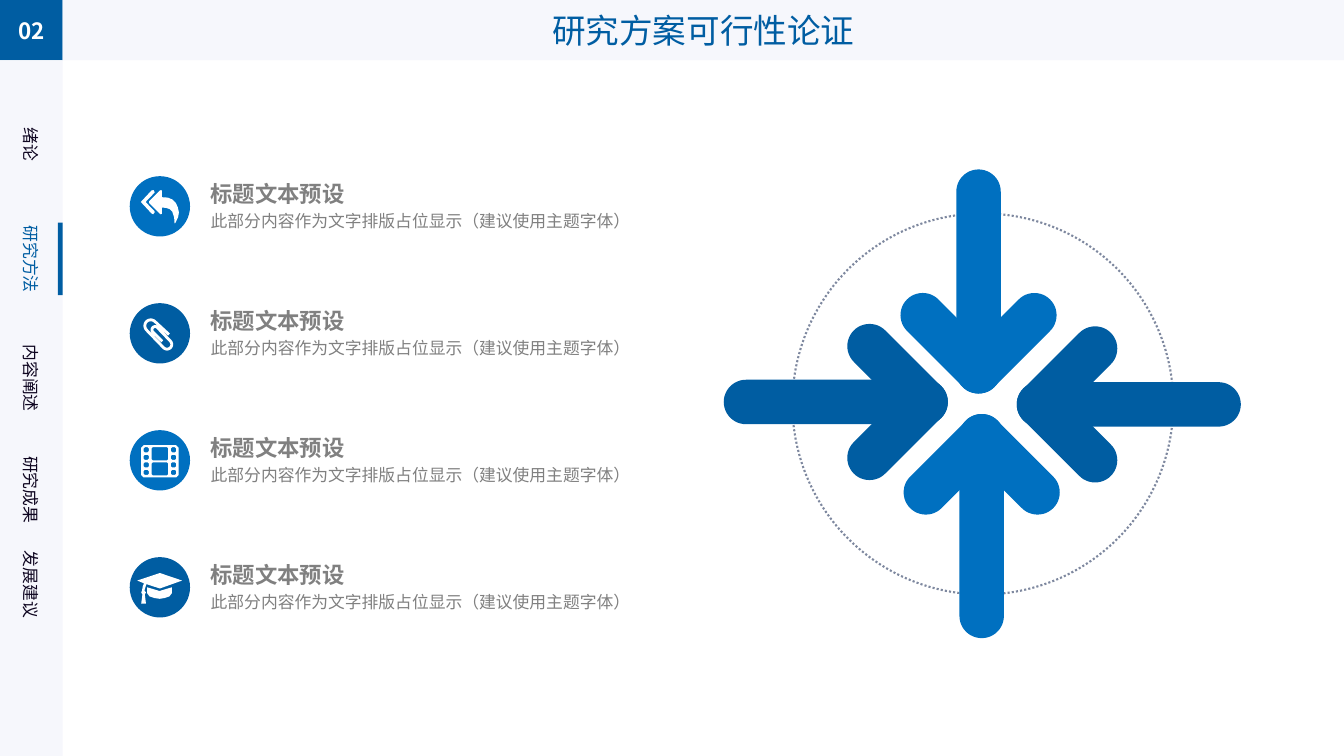
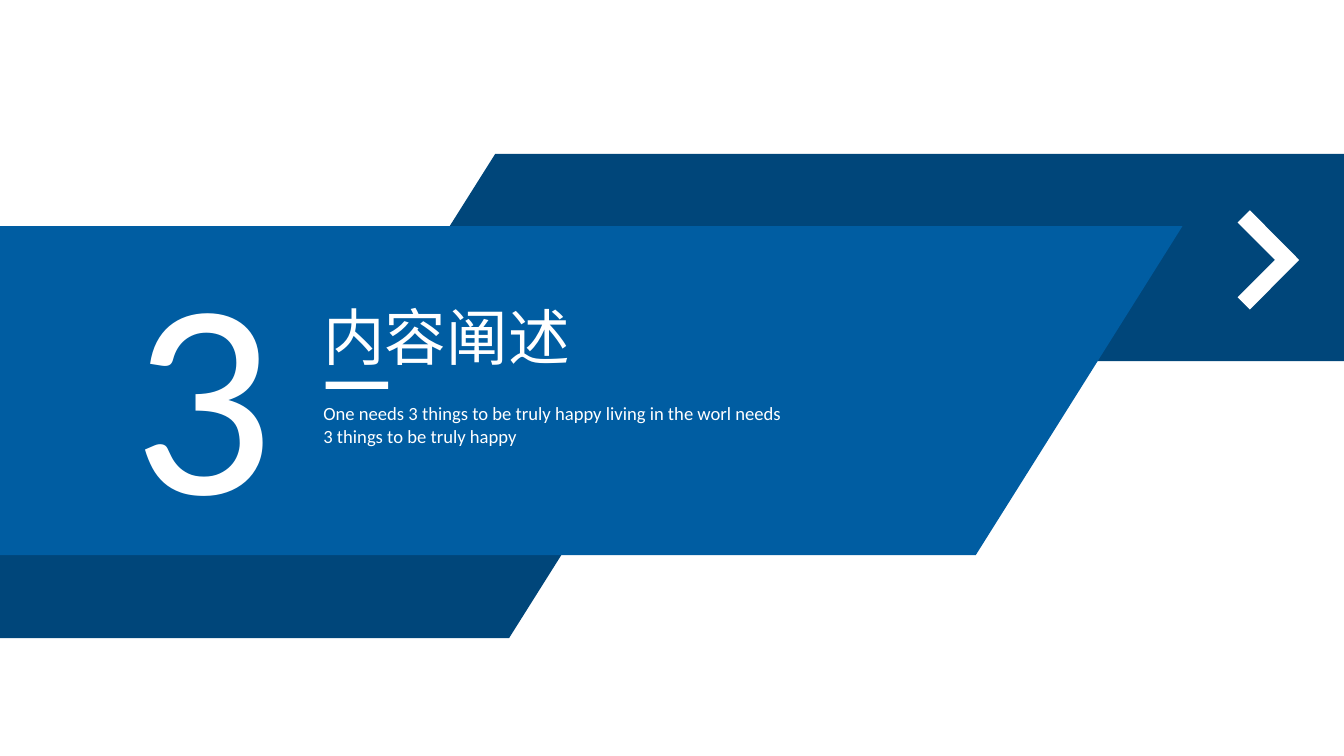
import math

import lxml.etree
import pptx
import pptx.dml.color
import pptx.enum.dml
import pptx.enum.shapes
import pptx.enum.text
import pptx.oxml.ns
import pptx.util

Cm = pptx.util.Cm
SHAPE = pptx.enum.shapes.MSO_SHAPE
ALIGN = pptx.enum.text.PP_ALIGN
ANCHOR = pptx.enum.text.MSO_ANCHOR

WIDTH, HEIGHT = 33.87, 19.05
BLUE, BRIGHT, NAVY = "005DA2", "0070C0", "00467A"
PALE, WHITE, INK, GREY, ORBIT = "F6F7FC", "FFFFFF", "0E0520", "808080", "7E889F"
HAN, HAN_BOLD, LATIN = "Noto Sans CJK SC", "Noto Sans CJK JP", "Calibri"


def rgb(color):
    return pptx.dml.color.RGBColor.from_string(color)


def arc(cx, cy, radius, start, end, steps=12):
    """Points along a circular arc, angles in degrees."""
    angles = [math.radians(start + (end - start) * i / steps) for i in range(steps + 1)]
    return [(cx + radius * math.cos(a), cy + radius * math.sin(a)) for a in angles]


def box(left, top, width, height, cut=0.03):
    """Outline of a rectangle with cut corners."""
    right, bottom = left + width, top + height
    return [(left + cut, top), (right - cut, top), (right, top + cut),
            (right, bottom - cut), (right - cut, bottom), (left + cut, bottom),
            (left, bottom - cut), (left, top + cut)]


class Deck:
    def __init__(self):
        self.prs = pptx.Presentation()
        self.prs.slide_width, self.prs.slide_height = Cm(WIDTH), Cm(HEIGHT)
        self.slide = None

    def new_slide(self):
        self.slide = self.prs.slides.add_slide(self.prs.slide_layouts[6])

    def paint(self, shape, fill=None, line=None, weight=1.5):
        shape.shadow.inherit = False
        if fill:
            shape.fill.solid()
            shape.fill.fore_color.rgb = rgb(fill)
        else:
            shape.fill.background()
        if line:
            shape.line.color.rgb = rgb(line)
            shape.line.width = pptx.util.Pt(weight)
        else:
            shape.line.fill.background()
        return shape

    def shape(self, kind, left, top, width, height, fill=None, line=None):
        shape = self.slide.shapes.add_shape(kind, Cm(left), Cm(top), Cm(width), Cm(height))
        return self.paint(shape, fill, line)

    def outline(self, contours, fill=None, line=None, weight=1.5, origin=(0, 0), close=True):
        x0, y0 = origin
        rings = [[(Cm(x0 + x), Cm(y0 + y)) for x, y in points] for points in contours]
        builder = self.slide.shapes.build_freeform(*rings[0][0])
        for i, points in enumerate(rings):
            if i:
                builder.move_to(*points[0])
            builder.add_line_segments(points[1:], close=close)
        return self.paint(builder.convert_to_shape(), fill, line, weight)

    def set_text(self, shape, text, size, color, font=HAN, bold=False,
                 align=ALIGN.CENTER, anchor=ANCHOR.MIDDLE, wrap=True, spacing=None):
        frame = shape.text_frame
        frame.word_wrap, frame.vertical_anchor = wrap, anchor
        paragraph = frame.paragraphs[0]
        paragraph.text, paragraph.alignment = text, align
        if spacing:
            paragraph.line_spacing = spacing
        style = paragraph.font
        style.size, style.bold, style.name = pptx.util.Pt(size), bold, font
        style.color.rgb = rgb(color)
        # East Asian typeface
        qn = pptx.oxml.ns.qn
        defaults = paragraph._p.find(qn("a:pPr")).find(qn("a:defRPr"))
        lxml.etree.SubElement(defaults, qn("a:ea")).set("typeface", font)

    def text(self, left, top, width, height, text, size, color, inset=None,
             turn=0, anchor=ANCHOR.TOP, **style):
        label = self.slide.shapes.add_textbox(Cm(left), Cm(top), Cm(width), Cm(height))
        label.rotation = turn
        if inset is not None:
            frame = label.text_frame
            frame.margin_left = frame.margin_right = Cm(inset)
            frame.margin_top = frame.margin_bottom = 0
        self.set_text(label, text, size, color, anchor=anchor, **style)

    def pill(self, cx, cy, length, turn, fill, thickness=1.12):
        bar = self.shape(SHAPE.ROUNDED_RECTANGLE, cx - length / 2, cy - thickness / 2,
                         length, thickness, fill)
        bar.adjustments[0] = 0.5
        bar.rotation = turn % 360

    def arrow(self, tip_x, tip_y, angle, fill):
        """Arrow of three pills whose tip is at the given point."""
        dx, dy = math.cos(math.radians(angle)), math.sin(math.radians(angle))
        shaft, arm, back, side = 5.64, 3.12, 1.26, 0.7
        self.pill(tip_x - dx * shaft / 2, tip_y - dy * shaft / 2, shaft, angle, fill)
        for sign in (1, -1):
            self.pill(tip_x - dx * back - dy * side * sign,
                      tip_y - dy * back + dx * side * sign, arm, angle - 45 * sign, fill)

    def frame(self, number, title, sections, current):
        """Header band and side navigation."""
        side, head = 1.58, 1.52
        badge = self.shape(SHAPE.RECTANGLE, 0, 0, side, head, BLUE)
        self.set_text(badge, number, 16, WHITE, HAN_BOLD, bold=True)
        header = self.shape(SHAPE.RECTANGLE, side, 0, WIDTH - side, head, PALE)
        self.set_text(header, title, 24, BLUE)
        self.shape(SHAPE.RECTANGLE, 0, head, side, HEIGHT - head, PALE)
        for section, middle in sections:
            active = section == current
            self.text(-0.33, middle - 0.38, 2.24, 0.76, section, 12,
                      BLUE if active else INK, turn=90, wrap=False)
            if active:
                self.shape(SHAPE.RECTANGLE, 1.46, middle - 0.92, 0.12, 1.83, BLUE)


# Icon outlines, relative to the centre of their disc
REPLY = [
    [(-0.13, 0.15), (-0.17, 0.2), (-0.21, 0.18), (-0.48, -0.11), (-0.21, -0.4),
     (-0.16, -0.41), (-0.13, -0.35), (-0.36, -0.11), (-0.13, 0.13)],
    [(0.37, 0.43), (0.36, 0.28), (0.31, 0.13), (0.25, 0.07), (0.16, 0.04), (0.05, 0.03),
     (0.05, 0.19), (0.01, 0.2), (-0.27, -0.08), (-0.27, -0.13), (0, -0.4), (0.04, -0.41),
     (0.05, -0.38), (0.05, -0.23), (0.2, -0.22), (0.32, -0.17), (0.4, -0.09),
     (0.45, 0.02), (0.48, 0.15), (0.46, 0.27), (0.39, 0.42)],
]
CLIP = [[(0.23, 0.03)] + arc(-0.23, -0.19, 0.15, -45, -225)
        + arc(0.18, 0.28, 0.12, 135, -45)
        + arc(-0.12, -0.09, 0.08, -45, -225) + [(0.06, 0.2)]]
FILM = ([box(-0.47, -0.38, 0.94, 0.81, 0.06)]
        + [box(x, -0.33 + 0.19 * row, 0.13, 0.13) for x in (-0.41, 0.28) for row in range(4)]
        + [box(-0.21, y, 0.42, 0.33) for y in (-0.33, 0.05)])
CAP = [
    [(0.56, -0.17), (0, 0.03), (-0.34, -0.08), (-0.39, 0.08), (-0.35, 0.13), (-0.38, 0.18),
     (-0.35, 0.41), (-0.47, 0.41), (-0.44, 0.18), (-0.47, 0.13), (-0.45, 0.08),
     (-0.43, -0.03), (-0.4, -0.1), (-0.57, -0.17), (0, -0.36)],
    [(0.3, 0.15), (0.24, 0.23), (0.12, 0.27), (0, 0.29), (-0.14, 0.27), (-0.26, 0.23),
     (-0.32, 0.15), (-0.32, 0), (-0.02, 0.09), (0, 0.09), (0.3, 0)],
]


def feasibility(deck):
    deck.new_slide()
    sections = [("绪论", 3.63), ("研究方法", 6.53), ("内容阐述", 9.53),
                ("研究成果", 12.34), ("发展建议", 14.73)]
    deck.frame("02", "研究方案可行性论证", sections, "研究方法")

    # Converging arrows on a dotted orbit
    orbit = deck.shape(SHAPE.OVAL, 19.97, 5.38, 9.6, 9.6, line=ORBIT)
    orbit.line.dash_style = pptx.enum.dml.MSO_LINE.ROUND_DOT
    for x, y, angle, fill in [(24.66, 9.91, 90, BRIGHT), (25.63, 10.19, 180, BLUE),
                              (23.88, 10.13, 0, BLUE), (24.74, 10.44, 270, BRIGHT)]:
        deck.arrow(x, y, angle, fill)

    # Points with icons
    disc_x, first_y, pitch, radius = 4.03, 5.2, 3.2, 0.76
    for i, icon in enumerate((REPLY, CLIP, FILM, CAP)):
        y = first_y + i * pitch
        deck.shape(SHAPE.OVAL, disc_x - radius, y - radius, 2 * radius, 2 * radius,
                   (BRIGHT, BLUE)[i % 2])
        if icon is CLIP:
            deck.outline(icon, line=WHITE, weight=2, origin=(disc_x, y), close=False)
        else:
            deck.outline(icon, WHITE, origin=(disc_x, y))
        deck.text(4.78, y - 0.93, 13.18, 0.94, "标题文本预设", 16, GREY, inset=0.53,
                  bold=True, align=ALIGN.LEFT, anchor=ANCHOR.BOTTOM)
        deck.text(4.78, y + 0.01, 13.18, 0.94,
                  "此部分内容作为文字排版占位显示（建议使用主题字体）", 12, GREY,
                  inset=0.53, align=ALIGN.LEFT, spacing=1.2)


def section_opener(deck):
    deck.new_slide()

    # Slanted bands
    deck.outline([[(WIDTH, 9.1), (9.19, 9.1), (12.48, 3.88), (WIDTH, 3.88)]], NAVY)
    deck.outline([[(0, 11.33), (15.82, 11.33), (12.83, 16.08), (0, 16.08)]], NAVY)
    deck.outline([[(0, 5.7), (29.8, 5.7), (24.59, 13.99), (0, 13.99)]], BLUE)

    # Number, title and summary
    deck.text(3.07, 5.31, 4.11, 8.76, "3", 199, WHITE, font=LATIN, wrap=False)
    deck.text(7.9, 10.01, 12.24, 1.4,
              "One needs 3 things to be truly happy living in the worl needs "
              "3 things to be truly happy", 13.3, WHITE, font=LATIN, align=ALIGN.LEFT)
    deck.text(7.9, 7.42, 6.88, 2.13, "内容阐述", 44, WHITE, align=ALIGN.LEFT)
    deck.shape(SHAPE.RECTANGLE, 8.21, 9.62, 1.57, 0.18, WHITE)

    # Chevron
    deck.outline([[(31.5, 5.3), (32.74, 6.55), (31.5, 7.8), (31.19, 7.49),
                   (32.13, 6.55), (31.19, 5.61)]], WHITE)


def main():
    deck = Deck()
    feasibility(deck)
    section_opener(deck)
    deck.prs.save("out.pptx")


if __name__ == "__main__":
    main()
